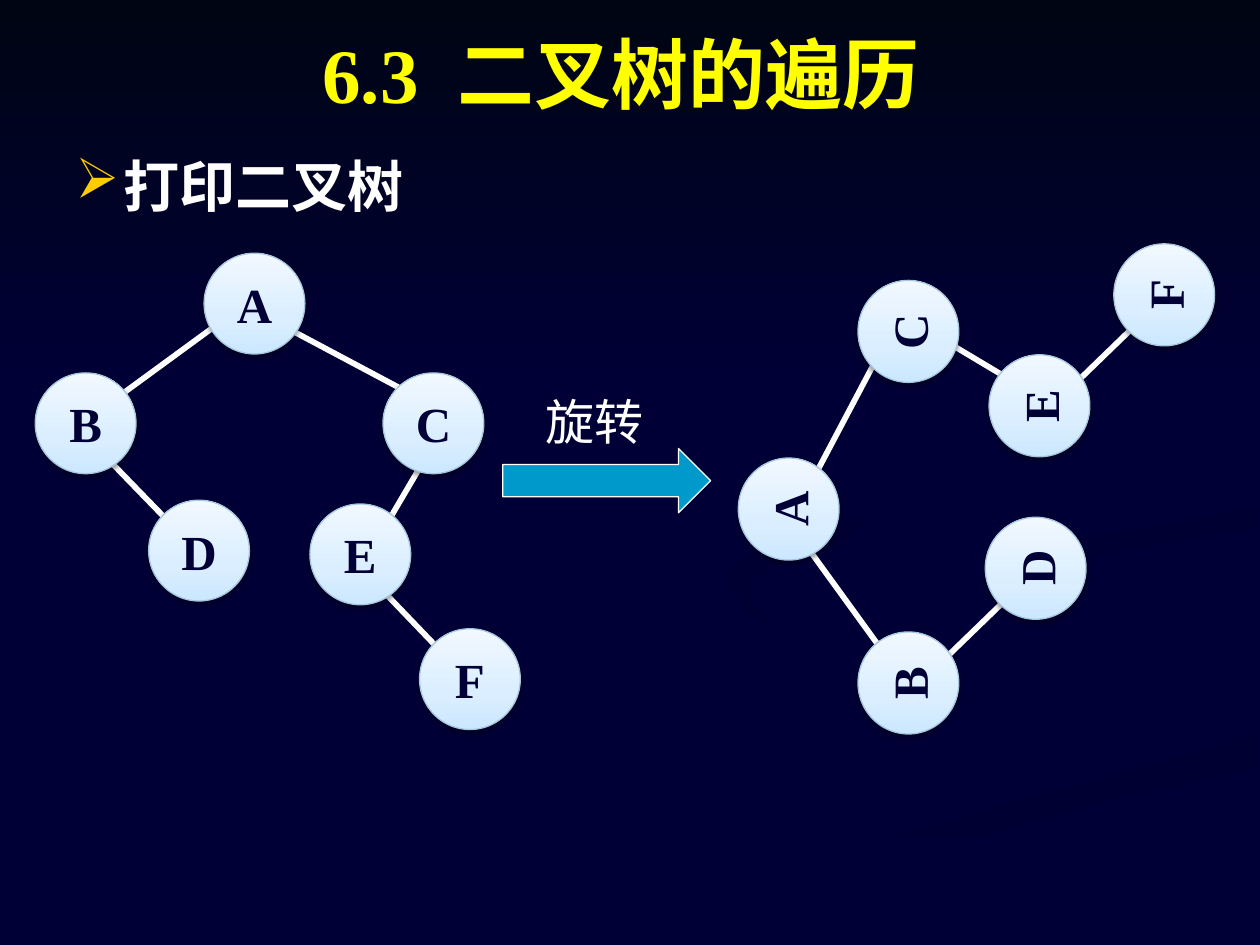
from lxml.etree import SubElement
from pptx import Presentation
from pptx.dml.color import RGBColor
from pptx.enum.shapes import MSO_CONNECTOR, MSO_SHAPE
from pptx.enum.text import MSO_ANCHOR, PP_ALIGN
from pptx.oxml import parse_xml
from pptx.oxml.ns import nsdecls, qn
from pptx.util import Inches, Pt

NAVY = RGBColor(0x00, 0x00, 0x36)
DARK = RGBColor(0x00, 0x00, 0x32)
BLACK_BLUE = RGBColor(0x00, 0x05, 0x14)
YELLOW = RGBColor(0xFF, 0xFF, 0x00)
GOLD = RGBColor(0xFF, 0xCC, 0x00)
WHITE = RGBColor(0xFF, 0xFF, 0xFF)
TEAL = RGBColor(0x00, 0x99, 0xCC)
NODE_EDGE = RGBColor(0xA5, 0xC6, 0xDE)
NODE_STOPS = [(0, RGBColor(0xCC, 0xE8, 0xFF)), (35, RGBColor(0xDA, 0xEE, 0xFF)),
              (100, RGBColor(0xF1, 0xF8, 0xFF))]

# Background swirls: gradient start, end, angle, outline
SWIRLS = [
    (DARK, NAVY, 90,
     [(5.03, 7.49), (5.71, 7.49), (6, 7.33), (6.49, 7.1), (7.22, 6.82), (8.21, 6.51),
      (9.03, 6.3), (9.98, 6.09), (9.98, 5.81), (9.63, 5.94), (9.03, 6.1), (7.97, 6.38),
      (6.96, 6.69), (6.3, 6.93), (5.69, 7.19), (5.19, 7.47)]),
    (NAVY, RGBColor(0x00, 0x00, 0x34), 45,
     [(9.43, 5.7), (9.3, 5.53), (9.05, 5.4), (8.5, 5.24), (7.92, 5.09), (7.45, 4.9),
      (7.24, 4.64), (7.3, 4.84), (7.55, 5.05), (7.97, 5.24), (8.54, 5.39), (9, 5.57),
      (9.18, 5.81), (8.94, 6.05), (9.25, 5.93), (9.41, 5.81)]),
    (RGBColor(0x00, 0x00, 0x33), NAVY, 45,
     [(7.81, 4.6), (7.86, 4.74), (8.06, 4.87), (8.26, 4.96), (8.05, 4.76), (8.16, 4.59),
      (8.59, 4.43), (9.36, 4.29), (9.98, 4.2), (9.98, 4.02), (9.33, 4.15), (8.35, 4.3),
      (7.91, 4.47)]),
    (DARK, NAVY, 45,
     [(6.83, 4.3), (7.64, 4.17), (8.25, 4.02), (8.67, 3.84), (8.89, 3.62), (8.93, 3.35),
      (8.8, 3.07), (8.54, 2.83), (8.1, 2.56), (7.62, 2.33), (8.26, 2.66), (8.7, 2.99),
      (8.88, 3.28), (8.82, 3.54), (8.52, 3.74), (7.91, 3.92), (7.04, 4.09), (6.25, 4.26),
      (5.89, 4.41), (5.77, 4.62), (5.9, 4.84), (6.22, 5), (5.97, 4.8), (5.96, 4.61),
      (6.24, 4.44)]),
]

# Trees: rotation, node width, edges (x1, y1, x2, y2), node centres
TREES = [
    (0, 0.8,
     [(1.95, 2.41, 0.76, 3.28), (2.14, 2.53, 3.55, 3.28), (3.55, 3.34, 2.85, 4.53),
      (2.8, 4.44, 3.73, 5.41), (0.64, 3.42, 1.58, 4.39)],
     {"A": (2.02, 2.41), "C": (3.44, 3.36), "D": (1.58, 4.37), "B": (0.68, 3.36),
      "E": (2.86, 4.4), "F": (3.73, 5.39)}),
    (270, 0.81,
     [(6.26, 4.14, 7.13, 5.34), (6.38, 3.94, 7.13, 2.52), (7.19, 2.52, 8.38, 3.23),
      (8.29, 3.28, 9.26, 2.34), (7.27, 5.45, 8.24, 4.51)],
     {"A": (6.26, 4.04), "C": (7.21, 2.63), "D": (8.22, 4.51), "B": (7.21, 5.42),
      "E": (8.25, 3.22), "F": (9.24, 2.34)}),
]


class Deck:
    font = "Times New Roman"

    def __init__(self, slide):
        self.s = slide

    def run(self, p, text, size, color, bold=True):
        r = p.add_run()
        r.text = text
        r.font.name, r.font.size, r.font.bold = self.font, Pt(size), bold
        r.font.color.rgb = color
        return r

    def gradient(self, sp, stops, angle):
        gs = "".join(f'<a:gs pos="{pos * 1000}"><a:srgbClr val="{c}"/></a:gs>'
                     for pos, c in stops)
        sp.fill.background()
        old = sp._element.spPr.find(qn("a:noFill"))
        old.getparent().replace(old, parse_xml(
            f'<a:gradFill rotWithShape="0" {nsdecls("a")}><a:gsLst>{gs}</a:gsLst>'
            f'<a:lin ang="{angle * 60000}" scaled="0"/></a:gradFill>'))

    def swirl(self, start, end, angle, points):
        pts = [(Inches(x), Inches(y)) for x, y in points]
        fb = self.s.shapes.build_freeform(*pts[0])
        fb.add_line_segments(pts[1:], close=True)
        sp = fb.convert_to_shape()
        sp.shadow.inherit = False
        sp.line.fill.background()
        self.gradient(sp, [(0, start), (100, end)], angle)

    def shape(self, kind, x, y, w, h, edge=None):
        sp = self.s.shapes.add_shape(kind, Inches(x), Inches(y), Inches(w), Inches(h))
        sp.shadow.inherit = False
        if edge is None:
            sp.line.fill.background()
        else:
            sp.line.color.rgb, sp.line.width = edge, Pt(0.75)
        return sp

    def edge(self, x1, y1, x2, y2):
        cn = self.s.shapes.add_connector(MSO_CONNECTOR.STRAIGHT, Inches(x1), Inches(y1),
                                         Inches(x2), Inches(y2))
        cn.line.color.rgb, cn.line.width = WHITE, Pt(3.25)
        SubElement(cn._element.spPr, qn("a:effectLst"))

    def node(self, label, cx, cy, width, rotation):
        sp = self.shape(MSO_SHAPE.OVAL, cx - width / 2, cy - 0.4, width, 0.8, NODE_EDGE)
        sp.rotation = rotation
        self.gradient(sp, NODE_STOPS, 270)
        sp._element.spPr.find(qn("a:effectLst")).append(parse_xml(
            f'<a:outerShdw {nsdecls("a")} blurRad="39370" dist="20320" dir="5400000" '
            'rotWithShape="0"><a:srgbClr val="000000"><a:alpha val="38000"/></a:srgbClr>'
            '</a:outerShdw>'))
        tf = sp.text_frame
        tf.vertical_anchor = MSO_ANCHOR.MIDDLE
        p = tf.paragraphs[0]
        p.alignment = PP_ALIGN.CENTER
        self.run(p, label, 28, NAVY)

    def text(self, x, y, w, h, wrap=True):
        tf = self.s.shapes.add_textbox(Inches(x), Inches(y), Inches(w), Inches(h)).text_frame
        tf.word_wrap = wrap
        return tf.paragraphs[0]

    def bullet(self, p, char, color):
        pPr = p._p.get_or_add_pPr()
        pPr.set("marL", str(Inches(0.38)))
        pPr.set("indent", str(Inches(-0.38)))
        clr = SubElement(pPr, qn("a:buClr"))
        SubElement(clr, qn("a:srgbClr"), val=str(color))
        SubElement(pPr, qn("a:buChar"), char=char)


def main():
    prs = Presentation()
    prs.slide_width, prs.slide_height = Inches(10), Inches(7.5)
    s = prs.slides.add_slide(prs.slide_layouts[6])
    deck = Deck(s)

    # Background
    s.background.fill.solid()
    s.background.fill.fore_color.rgb = NAVY
    for swirl in SWIRLS:
        deck.swirl(*swirl)
    top = deck.shape(MSO_SHAPE.RECTANGLE, 0, 0, 10, 3.08)
    deck.gradient(top, [(0, BLACK_BLUE), (100, NAVY)], 90)

    # Title, with a widened space after the number
    p = deck.text(0.43, 0.16, 9, 1.07)
    p.alignment = PP_ALIGN.CENTER
    deck.run(p, "6.3", 44, YELLOW)
    gap = deck.run(p, " ", 44, YELLOW)
    gap._r.get_or_add_rPr().set("spc", "1100")
    deck.run(p, "二叉树的遍历", 44, YELLOW)

    # Heading
    p = deck.text(0.5, 1.15, 9, 0.87)
    deck.bullet(p, "➢", GOLD)
    deck.run(p, "打印二叉树", 32, WHITE)

    # Trees: edges lie behind the nodes
    for rotation, width, edges, nodes in TREES:
        for edge in edges:
            deck.edge(*edge)
        for label, (cx, cy) in nodes.items():
            deck.node(label, cx, cy, width, rotation)

    # Rotation arrow
    arrow = deck.shape(MSO_SHAPE.RIGHT_ARROW, 3.99, 3.56, 1.65, 0.51, WHITE)
    arrow.fill.solid()
    arrow.fill.fore_color.rgb = TEAL
    deck.run(deck.text(4.23, 3.06, 0.99, 0.57, wrap=False), "旋转", 28, WHITE, bold=False)

    prs.save("out.pptx")


if __name__ == "__main__":
    main()
